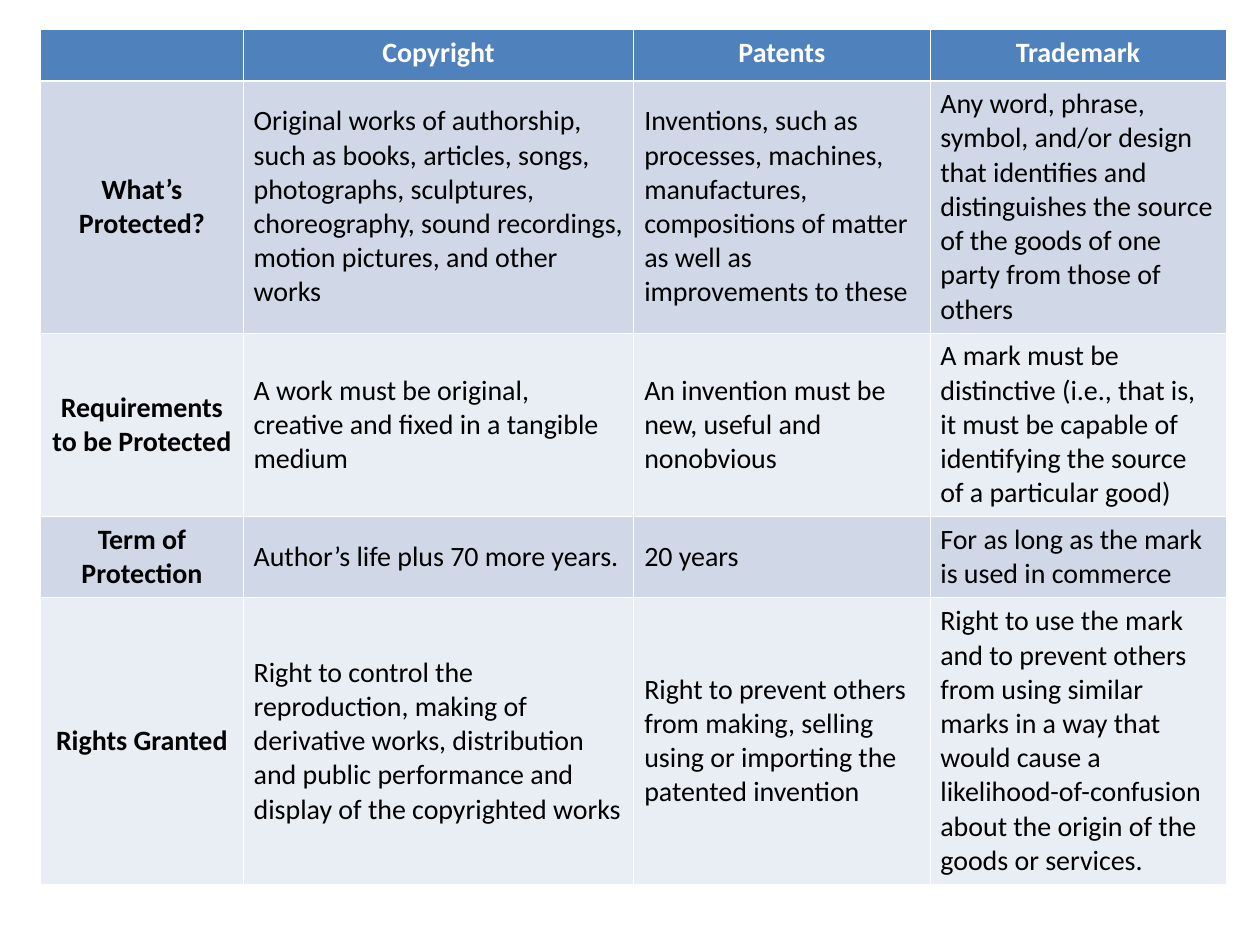
from lxml import etree
from pptx import Presentation
from pptx.dml.color import RGBColor
from pptx.enum import text as t
from pptx.oxml.ns import qn
from pptx.util import Pt

WHITE, BLACK, BLUE = "FFFFFF", "000000", "4F81BD"
BANDS = ["D0D8E8", "E9EDF4"]
THIN, THICK = 0.45, 1.47
COLS = [115.8, 223.2, 169.2, 169.2]
ROWS = [29.5, 141.8, 103, 45.4, 160.6]
TEXTS = [
    ["", "Copyright", "Patents", "Trademark"],
    ["What’s Protected?",
     "Original works of authorship, such as books, articles, songs, photographs, "
     "sculptures, choreography, sound recordings, motion pictures, and other works",
     "Inventions, such as processes, machines, manufactures, compositions of matter "
     "as well as improvements to these",
     "Any word, phrase, symbol, and/or design that identifies and distinguishes "
     "the source of the goods of one party from those of others"],
    ["Requirements to be Protected",
     "A work must be original, creative and fixed in a tangible medium",
     "An invention must be new, useful and nonobvious",
     "A mark must be distinctive (i.e., that is, it must be capable of identifying "
     "the source of a particular good)"],
    ["Term of Protection",
     "Author’s life plus 70 more years.",
     "20 years",
     "For as long as the mark is used in commerce"],
    ["Rights Granted",
     "Right to control the reproduction, making of derivative works, distribution "
     "and public performance and display of the copyrighted works",
     "Right to prevent others from making, selling using or importing the patented "
     "invention",
     "Right to use the mark and to prevent others from using similar marks in a way "
     "that would cause a likelihood-of-confusion about the origin of the goods or "
     "services."],
]


def color(code):
    return RGBColor.from_string(code)


def add_run(para, words, tint, bold):
    run = para.add_run()
    run.text = words
    font = run.font
    font.name, font.size, font.bold = "Calibri", Pt(16), bold
    font.color.rgb = color(tint)


def set_edge(cell, side, width):
    props = cell._tc.get_or_add_tcPr()
    line = etree.SubElement(props, qn("a:ln" + side), w=str(Pt(width)))
    fill = etree.SubElement(line, qn("a:solidFill"))
    etree.SubElement(fill, qn("a:srgbClr"), val=WHITE)


def style_cell(cell, row, col, words):
    head = row == 0
    pad = Pt(7.2 if head else 6)
    cell.margin_left = cell.margin_right = pad
    cell.margin_top = cell.margin_bottom = Pt(3.6)
    cell.vertical_anchor = t.MSO_ANCHOR.TOP if head else t.MSO_ANCHOR.MIDDLE
    edges = {"L": THIN, "R": THIN,
             "T": THICK if row == 1 else THIN,
             "B": THICK if head else THIN}
    for side, width in edges.items():
        set_edge(cell, side, width)
    cell.fill.solid()
    cell.fill.fore_color.rgb = color(BLUE if head else BANDS[(row - 1) % 2])
    title = head or col == 0
    para = cell.text_frame.paragraphs[0]
    para.alignment = t.PP_ALIGN.CENTER if title else t.PP_ALIGN.LEFT
    if words:
        add_run(para, words, WHITE if head else BLACK, title)


def add_grid(slide):
    frame = slide.shapes.add_table(len(ROWS), len(COLS), Pt(23.2), Pt(16.6),
                                   Pt(sum(COLS)), Pt(sum(ROWS)))
    table = frame.table
    for col, width in zip(table.columns, COLS):
        col.width = Pt(width)
    for row, height in zip(table.rows, ROWS):
        row.height = Pt(height)
    for r, line in enumerate(TEXTS):
        for c, words in enumerate(line):
            style_cell(table.cell(r, c), r, c, words)


def main():
    deck = Presentation()
    deck.slide_width, deck.slide_height = Pt(720), Pt(540)
    slide = deck.slides.add_slide(deck.slide_layouts[6])
    add_grid(slide)
    deck.save("out.pptx")


if __name__ == "__main__":
    main()
